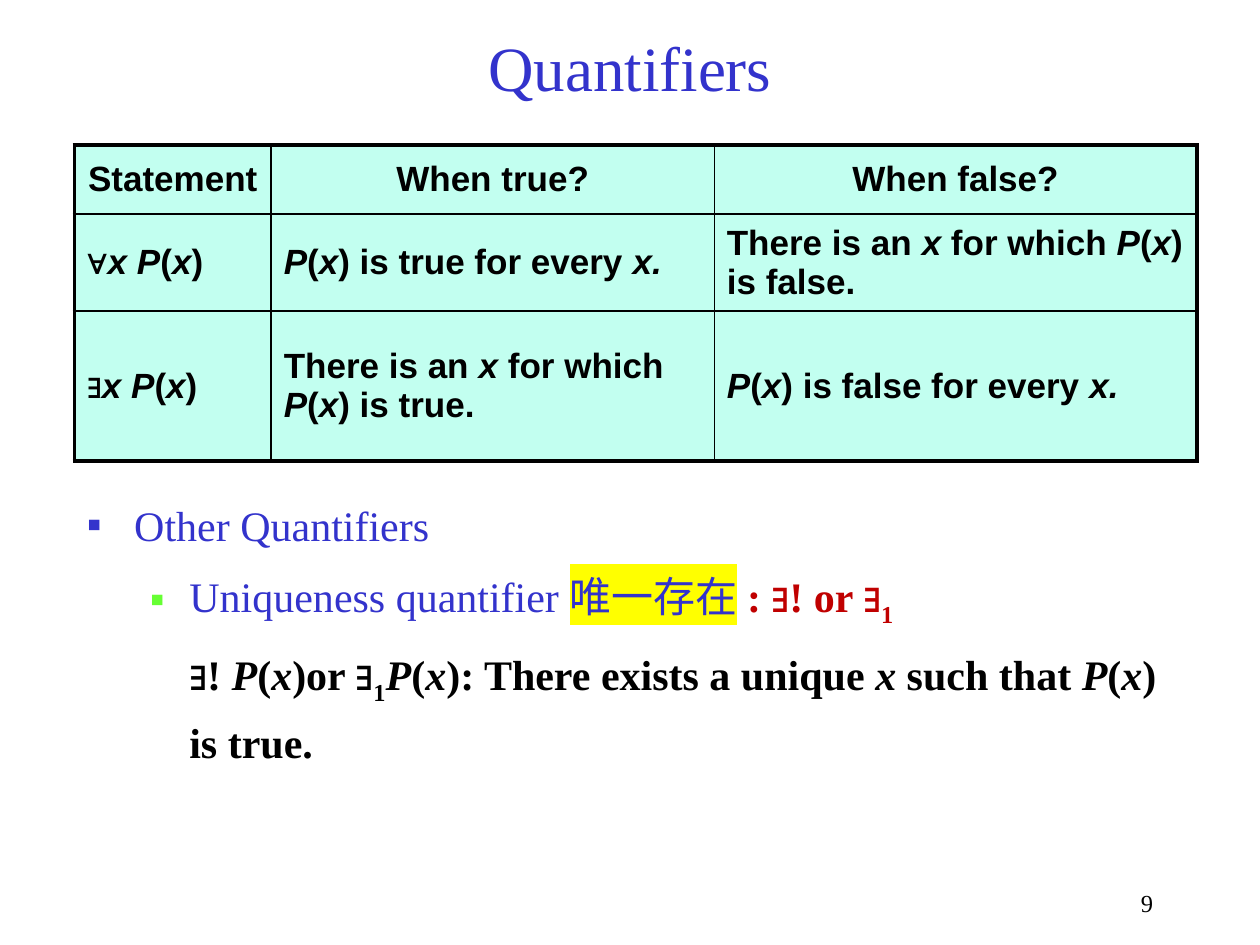
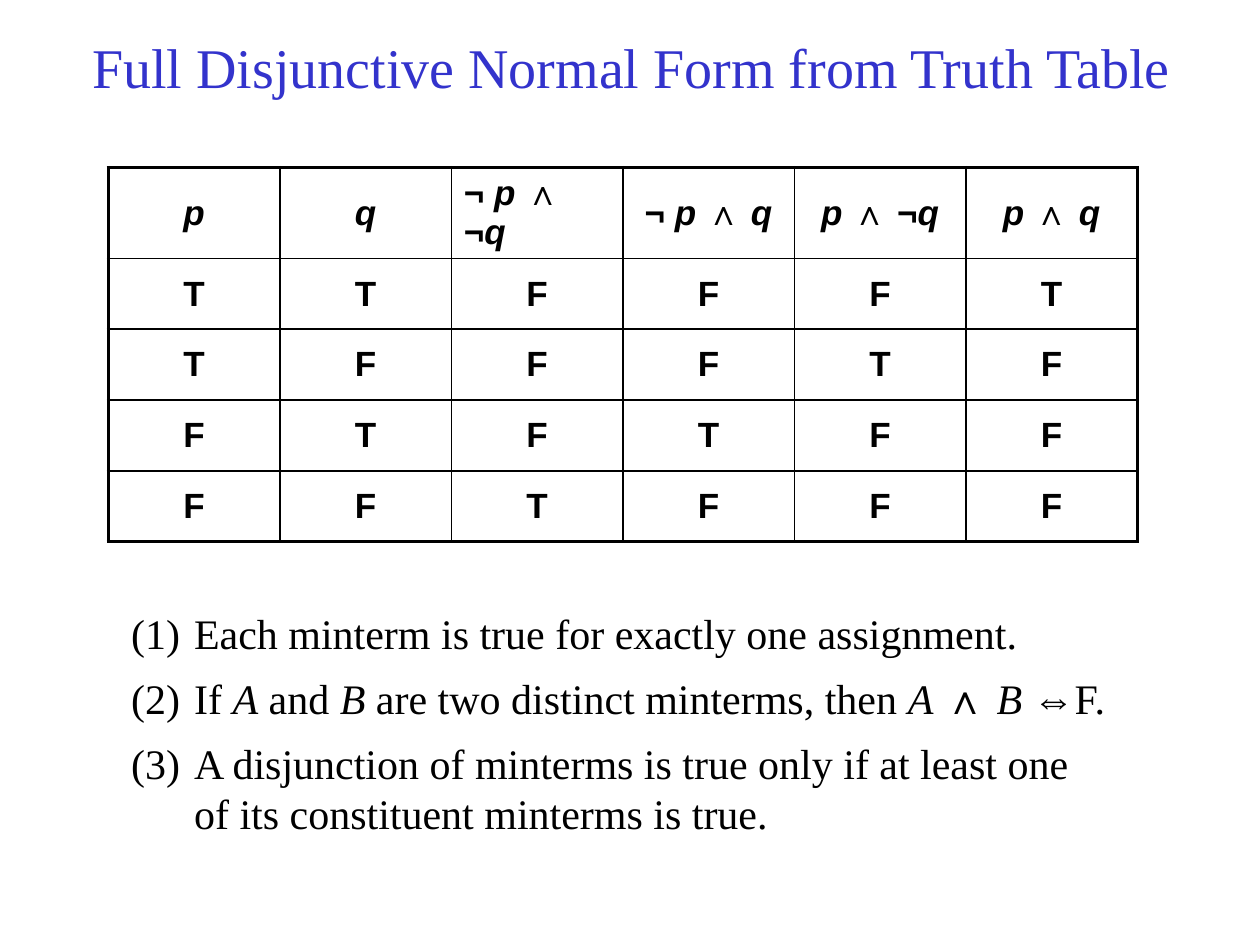
from dataclasses import dataclass, replace

from lxml.etree import SubElement
from pptx import Presentation
from pptx.dml.color import RGBColor as Rgb
from pptx.enum.text import MSO_ANCHOR as Anchor, MSO_AUTO_SIZE as AutoSize, PP_ALIGN as Align
from pptx.oxml.ns import qn
from pptx.util import Pt


@dataclass(frozen=True)
class Style:
    size: float
    color: str
    font: str = "Times New Roman"
    bold: bool = False


@dataclass(frozen=True)
class Theme:
    blue: str = "3333CC"
    black: str = "000000"
    red: str = "C00000"
    green: str = "66FF33"
    yellow: str = "FFFF00"
    mint: str = "C2FFF0"
    outer_line: float = 2.25
    inner_line: float = 1
    title: Style = Style(36, "3333CC")
    long_title: Style = Style(32, "3333CC")
    topic: Style = Style(24, "3333CC")
    body: Style = Style(24, "000000")
    cell: Style = Style(20, "000000", "Arial", True)
    page: Style = Style(14, "000000")


THEME = Theme()


# Text: *...* marks italics and _..._ a subscript
def add_runs(paragraph, markup, style, highlight=None):
    for italic_index, stretch in enumerate(markup.split("*")):
        for lowered_index, text in enumerate(stretch.split("_")):
            if not text:
                continue
            run = paragraph.add_run()
            run.text = text
            font = run.font
            font.name, font.size, font.bold = style.font, Pt(style.size), style.bold
            font.italic = italic_index % 2 == 1
            font.color.rgb = Rgb.from_string(style.color)
            properties = run._r.get_or_add_rPr()
            if lowered_index % 2:
                properties.set("baseline", "-25000")
            if highlight:
                mark = SubElement(properties, qn("a:highlight"))
                SubElement(mark, qn("a:srgbClr"), val=highlight)
                properties.find(qn("a:solidFill")).addnext(mark)


def place(shape, left, top, width, height, anchor=Anchor.TOP):
    shape.left, shape.top = Pt(left), Pt(top)
    shape.width, shape.height = Pt(width), Pt(height)
    frame = shape.text_frame
    frame.word_wrap = True
    frame.auto_size = AutoSize.NONE
    frame.vertical_anchor = anchor
    return frame


def add_title(slide, text, style, left, width):
    frame = place(slide.shapes.title, left, 9.5, width, 57, Anchor.MIDDLE)
    paragraph = frame.paragraphs[0]
    paragraph.alignment = Align.CENTER
    add_runs(paragraph, text, style)


# Lists
def next_paragraph(frame):
    first = frame.paragraphs[0]
    return frame.add_paragraph() if first.runs else first


def format_item(paragraph, margin, hanging, space_before, line_spacing=1.0):
    paragraph.alignment = Align.LEFT
    paragraph.space_before = Pt(space_before)
    paragraph.space_after = Pt(0)
    paragraph.line_spacing = line_spacing
    properties = paragraph._p.get_or_add_pPr()
    properties.set("marL", str(Pt(margin)))
    properties.set("indent", str(Pt(-hanging)))
    return properties


def add_square_item(frame, level, segments, margin, hanging, color=None):
    paragraph = next_paragraph(frame)
    paragraph.level = level
    properties = format_item(paragraph, margin, hanging, 5.5, 1.2)
    if color:
        bullet_color = SubElement(properties, qn("a:buClr"))
        SubElement(bullet_color, qn("a:srgbClr"), val=color)
        SubElement(properties, qn("a:buFont"), typeface="Arial")
        SubElement(properties, qn("a:buChar"), char="▪")
    else:
        SubElement(properties, qn("a:buNone"))
    for segment in segments:
        add_runs(paragraph, *segment)


def add_numbered_item(frame, markup):
    paragraph = next_paragraph(frame)
    properties = format_item(paragraph, 36, 36, 8.3)
    SubElement(properties, qn("a:buFont"), typeface=THEME.body.font)
    SubElement(properties, qn("a:buAutoNum"), type="arabicParenBoth")
    add_runs(paragraph, markup, THEME.body)


# Tables
def set_borders(cell, widths):
    properties = cell._tc.get_or_add_tcPr()
    for index, (side, width) in enumerate(widths.items()):
        line = SubElement(properties, qn(f"a:ln{side}"), w=str(Pt(width)))
        fill = SubElement(line, qn("a:solidFill"))
        SubElement(fill, qn("a:srgbClr"), val=THEME.black)
        properties.insert(index, line)


def add_grid(slide, left, top, widths, heights, rows, centered, fill=None):
    frame = slide.shapes.add_table(len(heights), len(widths), Pt(left), Pt(top),
                                   Pt(sum(widths)), Pt(sum(heights)))
    table = frame.table
    table.first_row = table.horz_banding = False
    for column, width in zip(table.columns, widths):
        column.width = Pt(width)
    for row, height in zip(table.rows, heights):
        row.height = Pt(height)
    last_row, last_column = len(heights) - 1, len(widths) - 1
    for row_index, texts in enumerate(rows):
        for column_index, markup in enumerate(texts):
            cell = table.cell(row_index, column_index)
            cell.vertical_anchor = Anchor.MIDDLE
            if fill:
                cell.fill.solid()
                cell.fill.fore_color.rgb = Rgb.from_string(fill)
            else:
                cell.fill.background()
            edges = {"L": column_index == 0, "R": column_index == last_column,
                     "T": row_index == 0, "B": row_index == last_row}
            set_borders(cell, {side: THEME.outer_line if outer else THEME.inner_line
                               for side, outer in edges.items()})
            paragraph = cell.text_frame.paragraphs[0]
            is_centered = centered(row_index, column_index)
            paragraph.alignment = Align.CENTER if is_centered else Align.LEFT
            add_runs(paragraph, markup, THEME.cell)
    return table


def add_page_number(slide, number):
    box = slide.shapes.add_textbox(0, 0, 0, 0)
    frame = place(box, 552.2, 504, 113.8, 24)
    frame.paragraphs[0].alignment = Align.RIGHT
    add_runs(frame.paragraphs[0], number, THEME.page)


# Slides
def build_quantifiers(slide):
    add_title(slide, "Quantifiers", THEME.title, 54, 612)

    body = place(slide.placeholders[1], 42.5, 275.8, 632.2, 191.5)
    strong = replace(THEME.body, bold=True)
    add_square_item(body, 0, [("Other Quantifiers", THEME.topic)], 27, 27, THEME.blue)
    add_square_item(body, 1, [
        ("Uniqueness quantifier ", THEME.topic),
        ("唯一存在", THEME.topic, THEME.yellow),
        (" : ∃! or ∃_1_", replace(strong, color=THEME.red)),
    ], 58.5, 22.5, THEME.green)
    add_square_item(body, 1, [
        ("∃! *P*(*x*)or ∃_1_*P*(*x*): There exists a unique *x* such that *P*(*x*) is true.",
         strong),
    ], 58.5, 0)

    rows = [
        ["Statement", "When true?", "When false?"],
        ["∀*x P*(*x*)", "*P*(*x*) is true for every *x.*",
         "There is an *x* for which *P*(*x*) is false."],
        ["∃*x P*(*x*)", "There is an *x* for which *P*(*x*) is true.",
         "*P*(*x*) is false for every *x.*"],
    ]
    add_grid(slide, 42.5, 82.8, [112.5, 253.2, 275.8], [39.6, 55.4, 85.7], rows,
             lambda row, column: row == 0, THEME.mint)
    add_page_number(slide, "9")


def build_normal_form(slide):
    add_title(slide, "Full Disjunctive Normal Form from Truth Table",
              THEME.long_title, 28, 666)

    header = ["*p*", "*q*", "¬ *p* ∧ ¬*q*", "¬ *p* ∧ *q*", "*p* ∧ ¬*q*", "*p* ∧ *q*"]
    minterm_column = 2
    rows = [header]
    for p in (True, False):
        for q in (True, False):
            minterms = [not p and not q, not p and q, p and not q, p and q]
            rows.append(["T" if value else "F" for value in (p, q, *minterms)])
    table = add_grid(slide, 61.9, 95.8, [98] * 6, [40.5] * 5, rows,
                     lambda row, column: (row, column) != (0, minterm_column))
    # The longest minterm takes two lines
    table.cell(0, minterm_column).margin_right = Pt(20)

    notes = place(slide.placeholders[1], 67.7, 343.4, 576, 141)
    for markup in (
        "Each minterm is true for exactly one assignment.",
        "If *A* and *B* are two distinct minterms, then *A* ∧ *B* ⇔F.",
        "A disjunction of minterms is true only if at least one "
        "of its constituent minterms is true.",
    ):
        add_numbered_item(notes, markup)


def main():
    presentation = Presentation()
    presentation.slide_width, presentation.slide_height = Pt(720), Pt(540)
    layout = presentation.slide_layouts[1]
    for build in (build_quantifiers, build_normal_form):
        build(presentation.slides.add_slide(layout))
    presentation.save("out.pptx")


if __name__ == "__main__":
    main()
